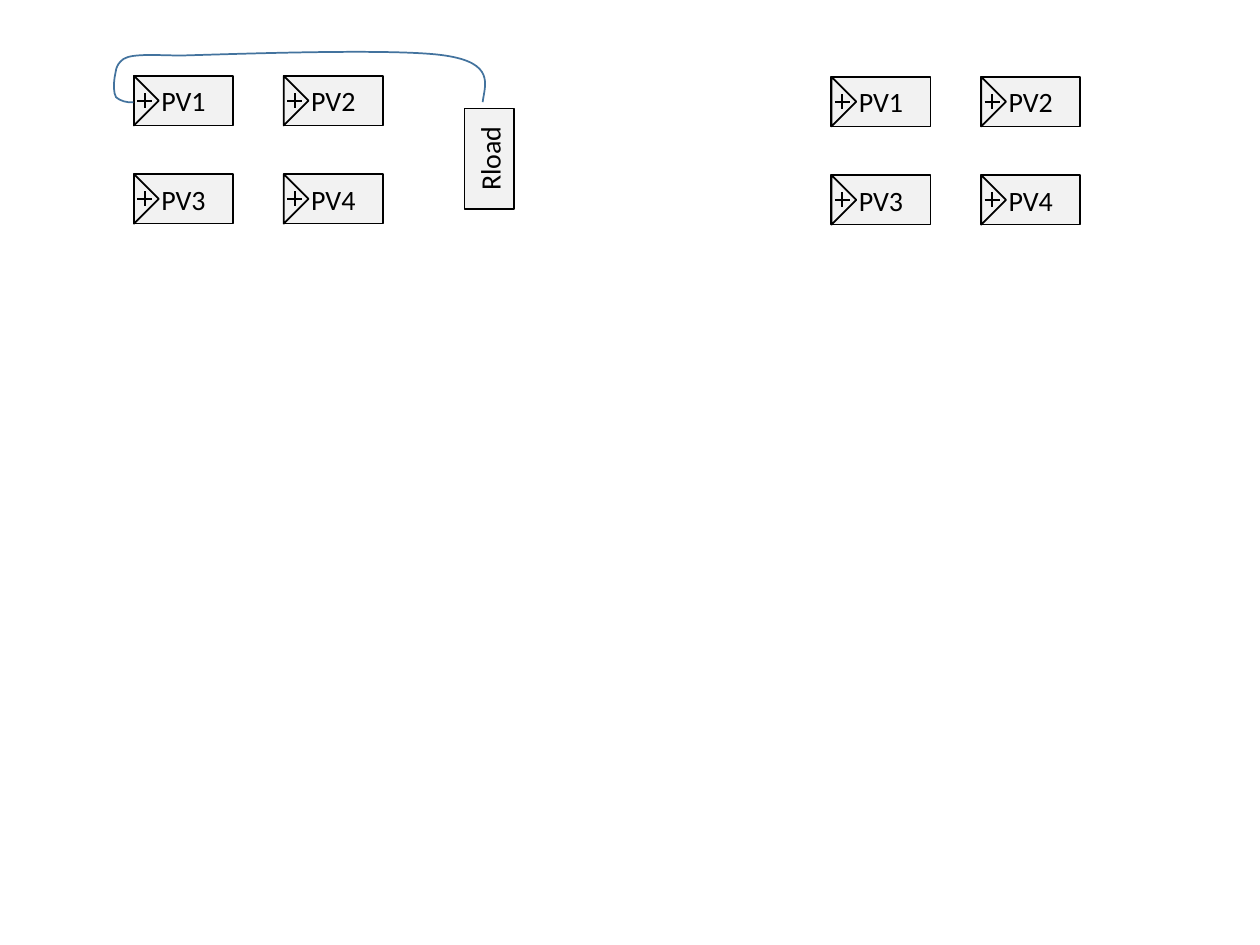
import pptx
import pptx.dml.color
import pptx.enum.shapes
import pptx.enum.text
import pptx.oxml.ns
import pptx.oxml.xmlchemy
import pptx.util
from pptx.util import Cm

BLACK = pptx.dml.color.RGBColor(0x00, 0x00, 0x00)
PANEL_GREY = pptx.dml.color.RGBColor(0xF2, 0xF2, 0xF2)
WIRE_BLUE = pptx.dml.color.RGBColor(0x43, 0x73, 0x9E)

PANEL_WIDTH, PANEL_HEIGHT = 2.0, 1.0
COLUMN_PITCH, ROW_PITCH = 3.02, 1.98
ARROW_DEPTH = 0.5
PLUS_OFFSET, PLUS_ARM = 0.22, 0.15

# Start of the wire, then three points for each curve, in centimetres
WIRE_POINTS = [
    (2.69, 2.06),
    (2.57, 2.08), (2.41, 2.03), (2.34, 1.96),
    (2.29, 1.88), (2.29, 1.70), (2.31, 1.57),
    (2.34, 1.47), (2.31, 1.32), (2.49, 1.19),
    (2.67, 1.07), (3.23, 1.12), (3.66, 1.12),
    (4.75, 1.09), (7.98, 0.97), (8.97, 1.12),
    (9.98, 1.27), (9.78, 1.70), (9.73, 2.06),
]


def style_line(line, color):
    line.color.rgb = color
    line.width = pptx.util.Pt(1)


def add_block(shapes, preset, left, top, width, height, rotation=0):
    block = shapes.add_shape(preset, Cm(left), Cm(top), Cm(width), Cm(height))
    block.rotation = rotation
    block.shadow.inherit = False
    block.fill.solid()
    block.fill.fore_color.rgb = PANEL_GREY
    style_line(block.line, BLACK)
    return block


def add_label(block, text):
    frame = block.text_frame
    frame.word_wrap = True
    frame.vertical_anchor = pptx.enum.text.MSO_ANCHOR.MIDDLE
    paragraph = frame.paragraphs[0]
    paragraph.alignment = pptx.enum.text.PP_ALIGN.CENTER
    run = paragraph.add_run()
    run.text = text
    run.font.name = "Calibri"
    run.font.size = pptx.util.Pt(16)
    run.font.color.rgb = BLACK


def add_stroke(shapes, x1, y1, x2, y2):
    stroke = shapes.add_connector(pptx.enum.shapes.MSO_CONNECTOR.STRAIGHT,
                                  Cm(x1), Cm(y1), Cm(x2), Cm(y2))
    style_line(stroke.line, BLACK)
    stroke._element.spPr.append(pptx.oxml.xmlchemy.OxmlElement("a:effectLst"))


def add_panel(shapes, text, left, top):
    """Add a labelled panel with its plus terminal at the left edge."""
    preset = pptx.enum.shapes.MSO_SHAPE
    panel = add_block(shapes, preset.RECTANGLE, left, top, PANEL_WIDTH, PANEL_HEIGHT)
    add_label(panel, text)
    middle = top + PANEL_HEIGHT / 2
    add_block(shapes, preset.ISOSCELES_TRIANGLE,
              left + (ARROW_DEPTH - PANEL_HEIGHT) / 2, middle - ARROW_DEPTH / 2,
              PANEL_HEIGHT, ARROW_DEPTH, rotation=90)
    plus = left + PLUS_OFFSET
    add_stroke(shapes, plus, middle - PLUS_ARM, plus, middle + PLUS_ARM)
    add_stroke(shapes, plus - PLUS_ARM, middle, plus + PLUS_ARM, middle)


def add_array(slide, left, top):
    """Add a group of four panels in two rows."""
    array = slide.shapes.add_group_shape()
    for index in range(4):
        row, column = divmod(index, 2)
        add_panel(array.shapes, f"PV{index + 1}",
                  left + column * COLUMN_PITCH, top + row * ROW_PITCH)


def add_wire(slide, points):
    """Add an open outline and turn each three points into a Bézier curve."""
    start, *rest = [(Cm(x), Cm(y)) for x, y in points]
    builder = slide.shapes.build_freeform(*start)
    builder.add_line_segments(rest, close=False)
    wire = builder.convert_to_shape()
    wire.shadow.inherit = False
    wire.fill.background()
    style_line(wire.line, WIRE_BLUE)
    segments = list(wire._element.iter(pptx.oxml.ns.qn("a:lnTo")))
    for first in range(0, len(segments), 3):
        curve = pptx.oxml.xmlchemy.OxmlElement("a:cubicBezTo")
        segments[first].addprevious(curve)
        for segment in segments[first:first + 3]:
            curve.append(segment[0])
            segment.getparent().remove(segment)


def add_load(slide):
    load = add_block(slide.shapes, pptx.enum.shapes.MSO_SHAPE.RECTANGLE,
                     8.85, 2.7, 2.03, 1.0, rotation=270)
    add_label(load, "Rload")


def main():
    deck = pptx.Presentation()
    deck.slide_width, deck.slide_height = Cm(25.4), Cm(19.05)
    slide = deck.slides.add_slide(deck.slide_layouts[6])
    add_array(slide, 2.7, 1.53)
    add_array(slide, 16.76, 1.55)
    add_wire(slide, WIRE_POINTS)
    add_load(slide)
    deck.save("out.pptx")


if __name__ == "__main__":
    main()
